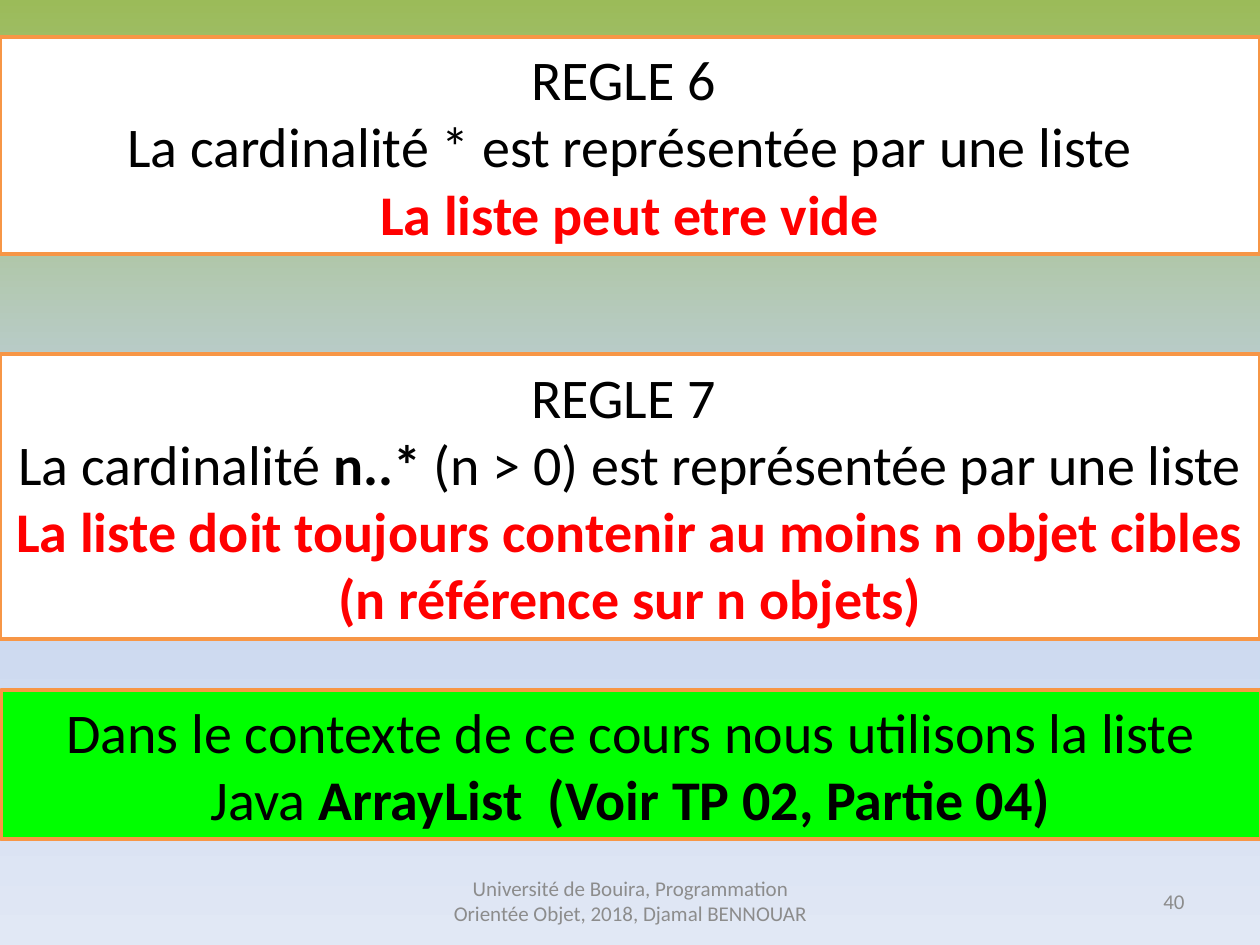
"""Build the slide on representing cardinalities with lists."""
from copy import deepcopy
from dataclasses import dataclass

from pptx import Presentation
from pptx.dml.color import RGBColor
from pptx.enum.shapes import MSO_SHAPE
from pptx.enum.text import MSO_ANCHOR, MSO_AUTO_SIZE, PP_ALIGN
from pptx.oxml.ns import qn
from pptx.slide import Slide
from pptx.text.text import TextFrame
from pptx.util import Emu, Pt

RECTANGLE = MSO_SHAPE.RECTANGLE
MIDDLE = MSO_ANCHOR.MIDDLE
GROW = MSO_AUTO_SIZE.SHAPE_TO_FIT_TEXT
CENTER, RIGHT = PP_ALIGN.CENTER, PP_ALIGN.RIGHT
PX_PER_INCH = 126
WIDTH, HEIGHT = 1260, 945


@dataclass(frozen=True)
class Theme:
    font: str = "Calibri"
    rule_size: int = 32
    footer_size: int = 12
    border_width: int = 2
    ink: str = "000000"
    warning: str = "FF0000"
    muted: str = "8C8C8C"
    paper: str = "FFFFFF"
    highlight: str = "00FF00"
    border: str = "F79646"
    sky: tuple[tuple[float, str], ...] = ((0, "9BBB59"), (0.5, "C2D1ED"), (1, "E1E8F5"))


THEME = Theme()


@dataclass(frozen=True)
class Span:
    text: str
    color: str = THEME.ink
    bold: bool = False
    size: int = THEME.rule_size


Lines = tuple[tuple[Span, ...], ...]


@dataclass(frozen=True)
class Box:
    left: int
    top: int
    width: int
    height: int
    lines: Lines


@dataclass(frozen=True)
class Rule(Box):
    fill: str = THEME.paper


@dataclass(frozen=True)
class Footer(Box):
    align: PP_ALIGN = CENTER


def footer_line(text: str) -> Lines:
    return ((Span(text, THEME.muted, size=THEME.footer_size),),)


RULES = (
    Rule(0, 37, WIDTH, 217, (
        (Span("REGLE 6 "),),
        (Span("La cardinalité * est représentée par une liste"),),
        (Span("La liste peut etre vide", THEME.warning, True),),
    )),
    Rule(0, 354, WIDTH, 285, (
        (Span("REGLE 7 "),),
        (Span("La cardinalité "), Span("n..*", bold=True),
         Span(" (n > 0) est représentée par une liste")),
        (Span("La liste doit toujours contenir au moins n objet cibles "
              "(n référence sur n objets)", THEME.warning, True),),
    )),
    Rule(1, 690, WIDTH, 149, (
        (Span("Dans le contexte de ce cours nous utilisons la liste Java "),
         Span("ArrayList  (Voir TP 02, Partie 04)", bold=True)),
    ), THEME.highlight),
)
FOOTERS = (
    Footer(431, 876, 399, 50, footer_line(
        "Université de Bouira, Programmation Orientée Objet, 2018, Djamal BENNOUAR")),
    Footer(903, 876, 294, 50, footer_line("40"), RIGHT),
)


def px(length: int) -> Emu:
    return Emu(round(length * 914400 / PX_PER_INCH))


def place(box: Box) -> tuple[Emu, ...]:
    return tuple(px(length) for length in (box.left, box.top, box.width, box.height))


def write(frame: TextFrame, lines: Lines, align: PP_ALIGN) -> None:
    frame.word_wrap = True
    frame.vertical_anchor = MIDDLE
    for index, spans in enumerate(lines):
        paragraph = frame.add_paragraph() if index else frame.paragraphs[0]
        paragraph.alignment = align
        for span in spans:
            run = paragraph.add_run()
            run.text = span.text
            run.font.name = THEME.font
            run.font.size = Pt(span.size)
            run.font.bold = span.bold
            run.font.color.rgb = RGBColor.from_string(span.color)


def paint_background(slide: Slide) -> None:
    fill = slide.background.fill
    fill.gradient()
    fill.gradient_angle = 270
    first = next(slide.element.iter(qn("a:gs")))
    first.addnext(deepcopy(first))
    for stop, (position, color) in zip(fill.gradient_stops, THEME.sky):
        stop.position = position
        stop.color.rgb = RGBColor.from_string(color)


def draw_rule(slide: Slide, rule: Rule) -> None:
    panel = slide.shapes.add_shape(RECTANGLE, *place(rule))
    panel.shadow.inherit = False
    panel.fill.solid()
    panel.fill.fore_color.rgb = RGBColor.from_string(rule.fill)
    panel.line.color.rgb = RGBColor.from_string(THEME.border)
    panel.line.width = Pt(THEME.border_width)
    write(panel.text_frame, rule.lines, CENTER)
    panel.text_frame.auto_size = GROW


def draw_footer(slide: Slide, footer: Footer) -> None:
    note = slide.shapes.add_textbox(*place(footer))
    write(note.text_frame, footer.lines, footer.align)


def main() -> None:
    deck = Presentation()
    deck.slide_width, deck.slide_height = px(WIDTH), px(HEIGHT)
    slide = deck.slides.add_slide(deck.slide_layouts[6])
    paint_background(slide)
    for footer in FOOTERS:
        draw_footer(slide, footer)
    for rule in RULES:
        draw_rule(slide, rule)
    deck.save("out.pptx")


if __name__ == "__main__":
    main()
